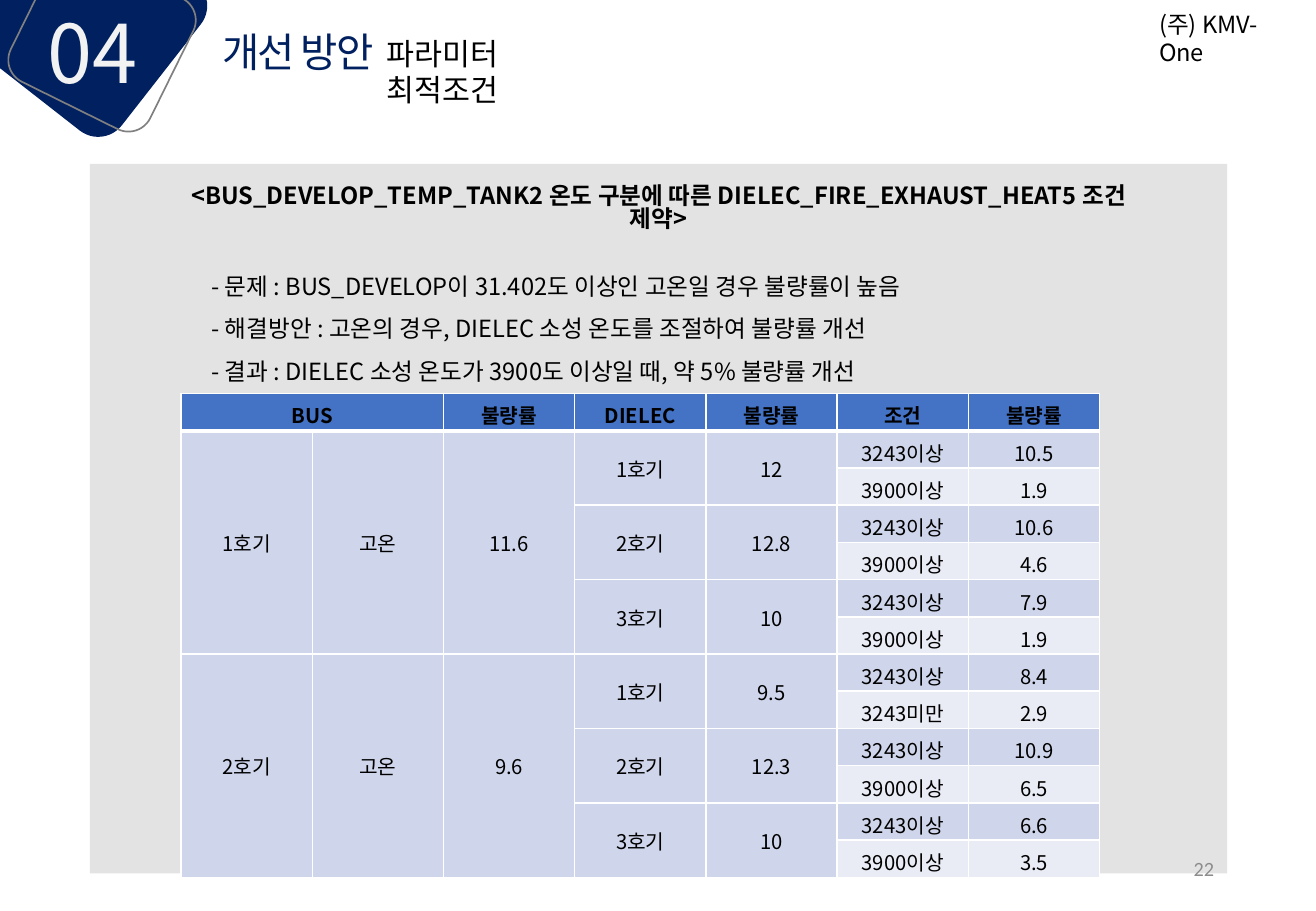
from lxml import etree
from pptx import Presentation
from pptx.dml.color import RGBColor
from pptx.enum.shapes import MSO_SHAPE
from pptx.enum.text import MSO_ANCHOR, PP_ALIGN
from pptx.oxml.ns import qn
from pptx.util import Inches, Pt

ROUNDED, RECTANGLE = MSO_SHAPE.ROUNDED_RECTANGLE, MSO_SHAPE.RECTANGLE
LEFT, CENTER, RIGHT, JUSTIFY = PP_ALIGN.LEFT, PP_ALIGN.CENTER, PP_ALIGN.RIGHT, PP_ALIGN.JUSTIFY
TOP, MIDDLE = MSO_ANCHOR.TOP, MSO_ANCHOR.MIDDLE
WIDTH, HEIGHT = 10.83, 7.5
KOREAN = "Noto Sans CJK KR"
NAVY, BLACK, WHITE = "002060", "000000", "FFFFFF"
HEADER_FILL, DARK_BAND, LIGHT_BAND = "4472C4", "CFD5EA", "E9EBF5"

HEADERS = ["BUS", "", "불량률", "DIELEC", "불량률", "조건", "불량률"]
# BUS unit, temperature, defect rate, then DIELEC units with their conditions
BUS_UNITS = [
    ("1호기", "고온", "11.6", [
        ("1호기", "12", [("3243이상", "10.5"), ("3900이상", "1.9")]),
        ("2호기", "12.8", [("3243이상", "10.6"), ("3900이상", "4.6")]),
        ("3호기", "10", [("3243이상", "7.9"), ("3900이상", "1.9")])]),
    ("2호기", "고온", "9.6", [
        ("1호기", "9.5", [("3243이상", "8.4"), ("3243미만", "2.9")]),
        ("2호기", "12.3", [("3243이상", "10.9"), ("3900이상", "6.5")]),
        ("3호기", "10", [("3243이상", "6.6"), ("3900이상", "3.5")])]),
]
FINDINGS = [
    "- 문제 : BUS_DEVELOP이 31.402도 이상인 고온일 경우 불량률이 높음",
    "- 해결방안 : 고온의 경우, DIELEC 소성 온도를 조절하여 불량률 개선",
    "- 결과 : DIELEC 소성 온도가 3900도 이상일 때, 약 5% 불량률 개선",
]


def color(value):
    return RGBColor.from_string(value)


def inches(*lengths):
    return [Inches(length) for length in lengths]


def write(frame, *lines, size=14, ink=BLACK, bold=False, font=KOREAN,
          align=LEFT, anchor=TOP, line_spacing=None, tracking=None):
    frame.word_wrap = True
    frame.vertical_anchor = anchor
    for index, line in enumerate(lines):
        paragraph = frame.paragraphs[0] if index == 0 else frame.add_paragraph()
        paragraph.alignment = align
        paragraph.line_spacing = line_spacing
        run = paragraph.add_run()
        run.text = line
        run.font.size, run.font.bold, run.font.name = Pt(size), bold, font
        run.font.color.rgb = color(ink)
        properties = run.font._element
        etree.SubElement(properties, qn("a:ea")).set("typeface", font)
        if tracking:
            properties.set("spc", str(tracking))


def add_text(slide, box, *lines, **text_format):
    write(slide.shapes.add_textbox(*inches(*box)).text_frame, *lines, **text_format)


def add_shape(slide, kind, box, fill=None, alpha=None, line=None, rotation=0):
    shape = slide.shapes.add_shape(kind, *inches(*box))
    shape.shadow.inherit = False
    shape.rotation = rotation
    if fill:
        shape.fill.solid()
        shape.fill.fore_color.rgb = color(fill)
        if alpha:
            fill_color = shape.fill._xPr.find(qn("a:solidFill"))[0]
            etree.SubElement(fill_color, qn("a:alpha")).set("val", str(alpha * 1000))
    else:
        shape.fill.background()
    if line:
        shape.line.color.rgb = color(line)
        shape.line.width = Pt(1)
    else:
        shape.line.fill.background()


def add_header(slide, left, top):
    # Section number badge
    add_shape(slide, ROUNDED, (left - 0.03, top - 0.58, 1.55, 1.48), NAVY, rotation=308)
    add_shape(slide, ROUNDED, (left + 0.24, top - 0.31, 1.2, 1.28),
              line="808080", rotation=296.3)
    add_text(slide, (left + 0.29, top - 0.03, 1.16, 0.91), "04", size=48, ink="F2F2F2")
    # Title and subtitle
    title = slide.shapes.title
    title.left, title.top, title.width, title.height = inches(left + 1.73, top + 0.17, 7.07, 0.5)
    write(title.text_frame, "개선 방안", size=24, ink=NAVY, anchor=MIDDLE, tracking=-100)
    add_text(slide, (left + 3.08, top + 0.24, 2, 0.4), "파라미터 최적조건", size=18)


def add_bottom_border(cell, points):
    properties = cell._tc.get_or_add_tcPr()
    border = etree.Element(qn("a:lnB"), w=str(Pt(points)))
    fill = etree.SubElement(border, qn("a:solidFill"))
    etree.SubElement(fill, qn("a:srgbClr"), val=WHITE)
    properties.insert(0, border)


def add_defect_table(slide, left, top, width, height):
    row_count = 1 + sum(len(conditions) for *_, units in BUS_UNITS for *_, conditions in units)
    columns = len(HEADERS)
    table = slide.shapes.add_table(row_count, columns,
                                   *inches(left, top, width, height)).table
    for row in table.rows:
        row.height = Inches(height / row_count)

    def fill_cell(row, column, text, fill, rows=1, bold=False, span=1):
        cell = table.cell(row, column)
        if rows > 1 or span > 1:
            cell.merge(table.cell(row + rows - 1, column + span - 1))
        cell.fill.solid()
        cell.fill.fore_color.rgb = color(fill)
        write(cell.text_frame, text, size=12, bold=bold, align=CENTER, line_spacing=1.03)
        cell.vertical_anchor = MIDDLE

    # Header row: the first heading covers two columns
    for column, heading in enumerate(HEADERS):
        if heading:
            fill_cell(0, column, heading, HEADER_FILL, bold=True, span=2 if column == 0 else 1)
        add_bottom_border(table.cell(0, column), 3)
    # Body rows, grouped by BUS unit and DIELEC unit
    row = 1
    for *bus_values, units in BUS_UNITS:
        bus_rows = sum(len(conditions) for *_, conditions in units)
        for column, value in enumerate(bus_values):
            fill_cell(row, column, value, DARK_BAND, bus_rows)
        for *unit_values, conditions in units:
            for column, value in enumerate(unit_values, 3):
                fill_cell(row, column, value, DARK_BAND, len(conditions))
            for condition in conditions:
                for column, value in enumerate(condition, 5):
                    fill_cell(row, column, value, DARK_BAND if row % 2 else LIGHT_BAND)
                row += 1


def add_content(slide, left, top, width, height):
    add_shape(slide, RECTANGLE, (left, top, width, height), "A6A6A6", alpha=31)
    add_text(slide, (left + 0.61, top + 0.13, 8.14, 0.48),
             "<BUS_DEVELOP_TEMP_TANK2 온도 구분에 따른 DIELEC_FIRE_EXHAUST_HEAT5 조건 제약>",
             bold=True, align=CENTER, anchor=MIDDLE, line_spacing=0.8)
    add_defect_table(slide, left + 0.75, top + 1.89, 7.56, 3.98)
    add_text(slide, (left + 0.9, top + 0.64, 7.59, 1.31), *FINDINGS,
             align=JUSTIFY, anchor=MIDDLE, line_spacing=1.5)


def main():
    presentation = Presentation()
    presentation.slide_width, presentation.slide_height = inches(WIDTH, HEIGHT)
    slide = presentation.slides.add_slide(presentation.slide_layouts[5])
    add_header(slide, 0, 0)
    # Company name
    add_text(slide, (9.44, 0.03, 1.3, 0.34), "(주) KMV-One")
    add_content(slide, 0.74, 1.35, 9.36, 5.84)
    # Page number
    add_text(slide, (7.65, 6.95, 2.44, 0.4), "22", size=12, ink="8C8C8C",
             font="Calibri", align=RIGHT, anchor=MIDDLE)
    presentation.save("out.pptx")


if __name__ == "__main__":
    main()
